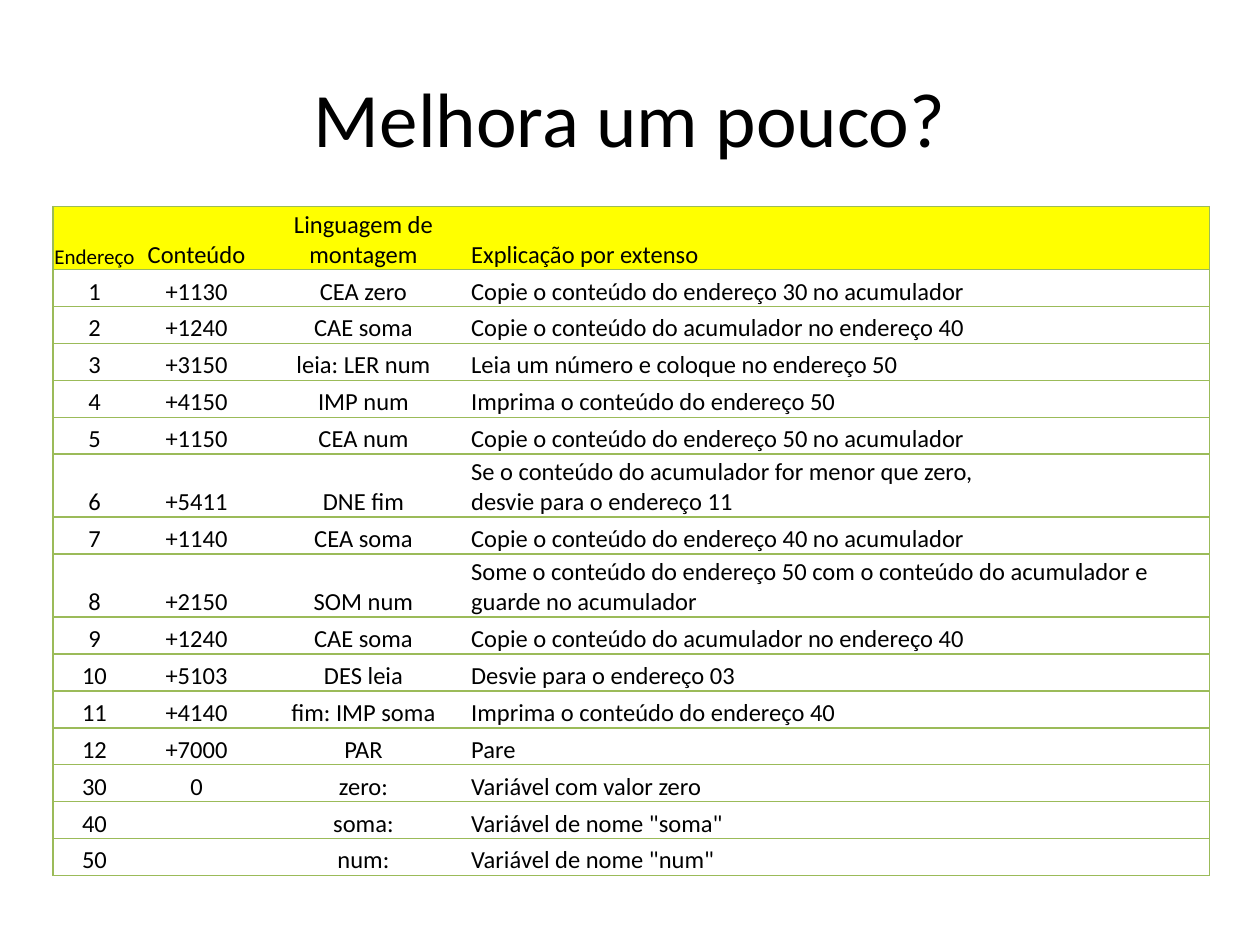
from lxml.etree import SubElement
from pptx import Presentation
from pptx.dml.color import RGBColor
from pptx.enum.text import MSO_ANCHOR as Anchor, PP_ALIGN as Align
from pptx.oxml import parse_xml
from pptx.oxml.ns import nsdecls, qn
from pptx.util import Inches, Pt

FONT = "Calibri"
COLORS = {"text": "000000", "header": "FFFF00", "row": "FFFFFF", "rule": "9BBB59"}
PLAIN_STYLE = "{2D5ABB26-0587-4C30-8999-92F81FD0307C}"

TABLE_LEFT, TABLE_TOP, TABLE_HEIGHT = 0.42, 1.64, 5.31
COLUMN_WIDTHS = [0.66, 0.96, 1.69, 5.87]
TALL_ROWS = {0, 6, 8}
TALL_HEIGHT = 0.5
CELL_FORMAT = {
    "vertical_anchor": Anchor.BOTTOM,
    "margin_left": Inches(0.01),
    "margin_right": Inches(0.01),
    "margin_top": Inches(0.01),
    "margin_bottom": 0,
}

PROGRAM = [
    ("Endereço", "Conteúdo", "Linguagem de montagem", "Explicação por extenso"),
    ("1", "+1130", "CEA zero", "Copie o conteúdo do endereço 30 no acumulador"),
    ("2", "+1240", "CAE soma", "Copie o conteúdo do acumulador no endereço 40"),
    ("3", "+3150", "leia: LER num", "Leia um número e coloque no endereço 50"),
    ("4", "+4150", "IMP num", "Imprima o conteúdo do endereço 50"),
    ("5", "+1150", "CEA num", "Copie o conteúdo do endereço 50 no acumulador"),
    ("6", "+5411", "DNE fim",
     "Se o conteúdo do acumulador for menor que zero, \ndesvie para o endereço 11"),
    ("7", "+1140", "CEA soma", "Copie o conteúdo do endereço 40 no acumulador"),
    ("8", "+2150", "SOM num",
     "Some o conteúdo do endereço 50 com o conteúdo do acumulador e \n"
     "guarde no acumulador"),
    ("9", "+1240", "CAE soma", "Copie o conteúdo do acumulador no endereço 40"),
    ("10", "+5103", "DES leia", "Desvie para o endereço 03"),
    ("11", "+4140", "fim: IMP soma", "Imprima o conteúdo do endereço 40"),
    ("12", "+7000", "PAR", "Pare"),
    ("30", "0", "zero:", "Variável com valor zero"),
    ("40", "", "soma:", "Variável de nome \"soma\""),
    ("50", "", "num:", "Variável de nome \"num\""),
]


def format_paragraph(paragraph, size, align):
    """Set the alignment and font of a paragraph, even when it is empty."""
    paragraph.alignment = align
    font_format = {"name": FONT, "size": Pt(size)}
    for run in paragraph.runs:
        for attribute, value in font_format.items():
            setattr(run.font, attribute, value)
        run.font.color.rgb = RGBColor.from_string(COLORS["text"])
    if not paragraph.runs:
        SubElement(paragraph._p, qn("a:endParaRPr"), sz=str(size * 100))


def add_title(slide, text):
    """Place and format the slide title."""
    title = slide.shapes.title
    title.left, title.top = Inches(0.5), Inches(0.3)
    title.width, title.height = Inches(9), Inches(1.25)
    title.text_frame.text = text
    title.text_frame.vertical_anchor = Anchor.MIDDLE
    format_paragraph(title.text_frame.paragraphs[0], 44, Align.CENTER)


def set_borders(cell, sides):
    """Draw rules on the given sides, and none on the others."""
    properties = cell._tc.get_or_add_tcPr()
    for position, side in enumerate("LRTB"):
        if side in sides:
            paint = f'<a:solidFill><a:srgbClr val="{COLORS["rule"]}"/></a:solidFill>'
        else:
            paint = "<a:noFill/>"
        border = f'<a:ln{side} {nsdecls("a")} w="{Pt(1)}">{paint}</a:ln{side}>'
        properties.insert(position, parse_xml(border))


def fill_cell(cell, text, row, column):
    """Write one cell and format it by its row and column."""
    last_column = len(COLUMN_WIDTHS) - 1
    cell.text = text
    for attribute, value in CELL_FORMAT.items():
        setattr(cell, attribute, value)
    size = 12 if row == column == 0 else 14
    align = Align.JUSTIFY if column == last_column else Align.CENTER
    for paragraph in cell.text_frame.paragraphs:
        format_paragraph(paragraph, size, align)
    cell.fill.solid()
    background = COLORS["row" if row else "header"]
    cell.fill.fore_color.rgb = RGBColor.from_string(background)
    set_borders(cell, "TB" + {0: "L", last_column: "R"}.get(column, ""))


def add_program_table(slide):
    """Add the listing of the program, one instruction a row."""
    frame = slide.shapes.add_table(
        len(PROGRAM), len(COLUMN_WIDTHS), Inches(TABLE_LEFT), Inches(TABLE_TOP),
        Inches(sum(COLUMN_WIDTHS)), Inches(TABLE_HEIGHT))
    listing = frame.table
    listing._tbl.tblPr.find(qn("a:tableStyleId")).text = PLAIN_STYLE
    listing.horz_banding = False
    for column, width in zip(listing.columns, COLUMN_WIDTHS):
        column.width = Inches(width)
    short_height = ((TABLE_HEIGHT - TALL_HEIGHT * len(TALL_ROWS))
                    / (len(PROGRAM) - len(TALL_ROWS)))
    for row, texts in enumerate(PROGRAM):
        height = TALL_HEIGHT if row in TALL_ROWS else short_height
        listing.rows[row].height = Inches(height)
        for column, text in enumerate(texts):
            fill_cell(listing.cell(row, column), text, row, column)


def main():
    """Build the slide and save it."""
    presentation = Presentation()
    presentation.slide_width = Inches(10)
    presentation.slide_height = Inches(7.5)
    slide = presentation.slides.add_slide(presentation.slide_layouts[5])
    add_title(slide, "Melhora um pouco?")
    add_program_table(slide)
    presentation.save("out.pptx")


main()
